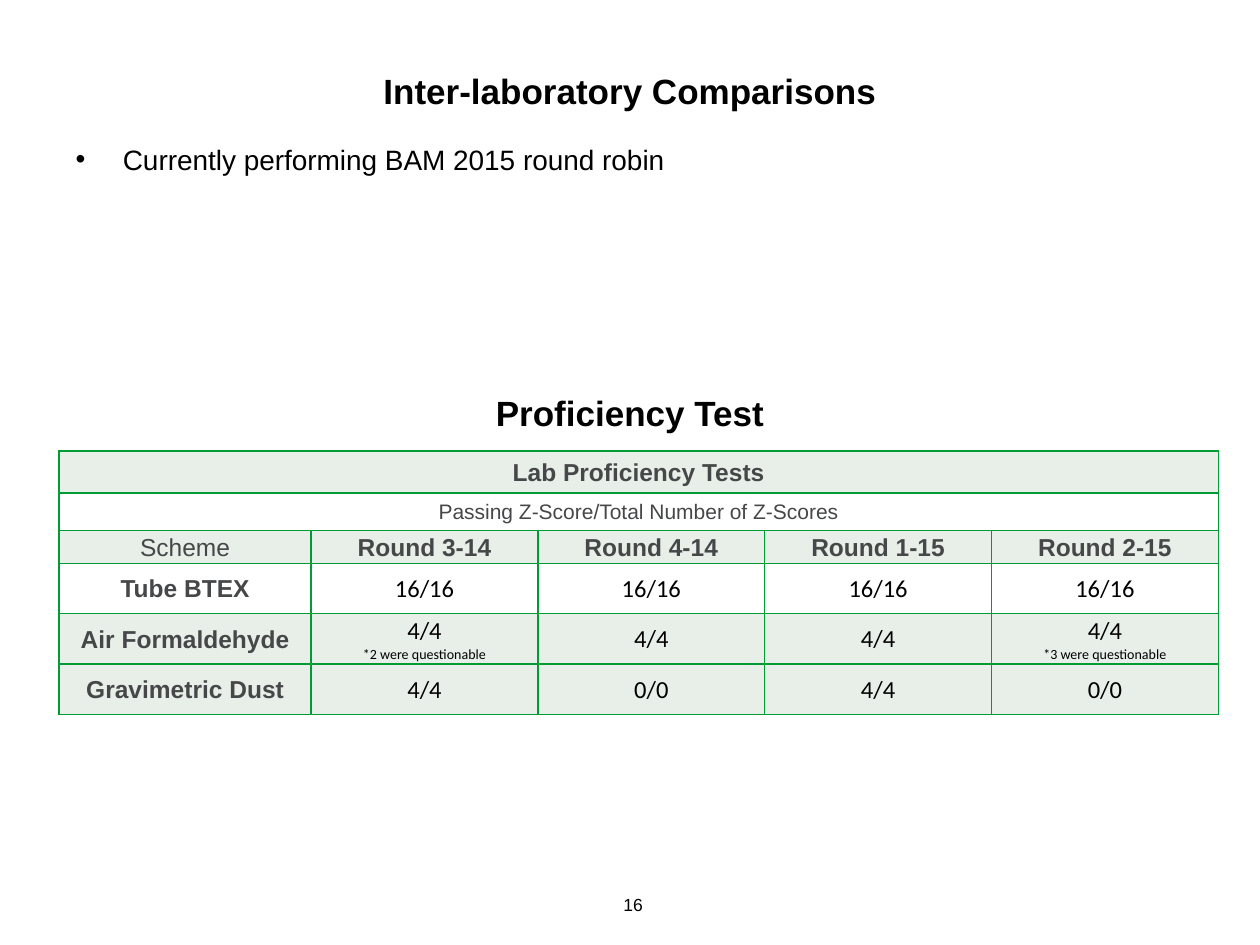
from lxml import etree
from pptx import Presentation
from pptx.dml.color import RGBColor
from pptx.enum import text
from pptx.oxml import ns
from pptx.util import Pt

BLACK = RGBColor(0x00, 0x00, 0x00)
GREY = RGBColor(0x46, 0x47, 0x49)
WHITE = RGBColor(0xFF, 0xFF, 0xFF)
PALE = RGBColor(0xE7, 0xEF, 0xE8)
GREEN = RGBColor(0x01, 0x9B, 0x35)
MID = text.PP_ALIGN.CENTER


def write(par, words, size, color=BLACK, bold=False, face="Arial", align=MID):
    par.alignment = align
    run = par.add_run()
    run.text = words
    run.font.size = Pt(size)
    run.font.name = face
    run.font.bold = bold
    run.font.color.rgb = color


def edge(cell):
    props = cell._tc.get_or_add_tcPr()
    for side in ("lnL", "lnR", "lnT", "lnB"):
        line = etree.SubElement(props, ns.qn("a:" + side), w=str(Pt(1)))
        fill = etree.SubElement(line, ns.qn("a:solidFill"))
        etree.SubElement(fill, ns.qn("a:srgbClr"), val=str(GREEN))


deck = Presentation()
deck.slide_width, deck.slide_height = Pt(720), Pt(540)
slide = deck.slides.add_slide(deck.slide_layouts[1])
title, body = slide.placeholders

# Headings: slide title and table title
label = slide.shapes.add_textbox(0, 0, 0, 0)
for box, top, words in ((title, 36, "Inter-laboratory Comparisons"),
                        (label, 220.3, "Proficiency Test")):
    box.left, box.top, box.width, box.height = 0, Pt(top), Pt(720), Pt(31.7)
    box.text_frame.word_wrap = True
    box.text_frame.vertical_anchor = text.MSO_ANCHOR.TOP
    write(box.text_frame.paragraphs[0], words, 20, bold=True)

# Bullet list
body.left, body.top, body.width, body.height = Pt(36), Pt(77.8), Pt(648), Pt(77.8)
par = body.text_frame.paragraphs[0]
props = par._p.get_or_add_pPr()
props.set("marL", str(Pt(27)))
props.set("indent", str(Pt(-27)))
etree.SubElement(props, ns.qn("a:buChar"), char="•")
par.space_before = Pt(0)
write(par, "Currently performing BAM 2015 round robin", 16, align=text.PP_ALIGN.LEFT)

# Results table; a line break in a cell starts a note
rows = [
    ["Lab Proficiency Tests"],
    ["Passing Z-Score/Total Number of Z-Scores"],
    ["Scheme", "Round 3-14", "Round 4-14", "Round 1-15", "Round 2-15"],
    ["Tube BTEX"] + ["16/16"] * 4,
    ["Air Formaldehyde", "4/4\n*2 were questionable", "4/4", "4/4",
     "4/4\n*3 were questionable"],
    ["Gravimetric Dust", "4/4", "0/0", "4/4", "0/0"],
]
high = [23.8, 21.6, 18.7, 28.8, 28.8, 28.8]
wide = [144] + [129.6] * 4
grid = slide.shapes.add_table(len(high), len(wide), Pt(33.8), Pt(257.8),
                              Pt(sum(wide)), Pt(sum(high))).table
grid.first_row = grid.horz_banding = False
for col, size in zip(grid.columns, wide):
    col.width = Pt(size)
for row, size in zip(grid.rows, high):
    row.height = Pt(size)

for r, row in enumerate(rows):
    for c in range(len(wide)):
        cell = grid.cell(r, c)
        edge(cell)
        cell.fill.solid()
        cell.fill.fore_color.rgb = WHITE if r in (1, 3) else PALE
        cell.vertical_anchor = text.MSO_ANCHOR.MIDDLE
        cell.margin_left = cell.margin_right = cell.margin_top = Pt(0.7)
        cell.margin_bottom = 0
    if len(row) == 1:
        grid.cell(r, 0).merge(grid.cell(r, len(wide) - 1))
    for c, words in enumerate(row):
        frame = grid.cell(r, c).text_frame
        main, *notes = words.split("\n")
        if r > 2 and c > 0:
            write(frame.paragraphs[0], main, 14, face="Calibri")
        else:
            plain = r == 1 or main == "Scheme"
            write(frame.paragraphs[0], main, 12 if r == 1 else 14, GREY, not plain)
        for note in notes:
            write(frame.add_paragraph(), note, 8, face="Calibri")

# Page number
page = slide.shapes.add_textbox(Pt(324), Pt(502.6), Pt(50.4), Pt(28.8)).text_frame
page.word_wrap = True
page.vertical_anchor = text.MSO_ANCHOR.MIDDLE
write(page.paragraphs[0], "16", 10, align=text.PP_ALIGN.RIGHT)

deck.save("out.pptx")
